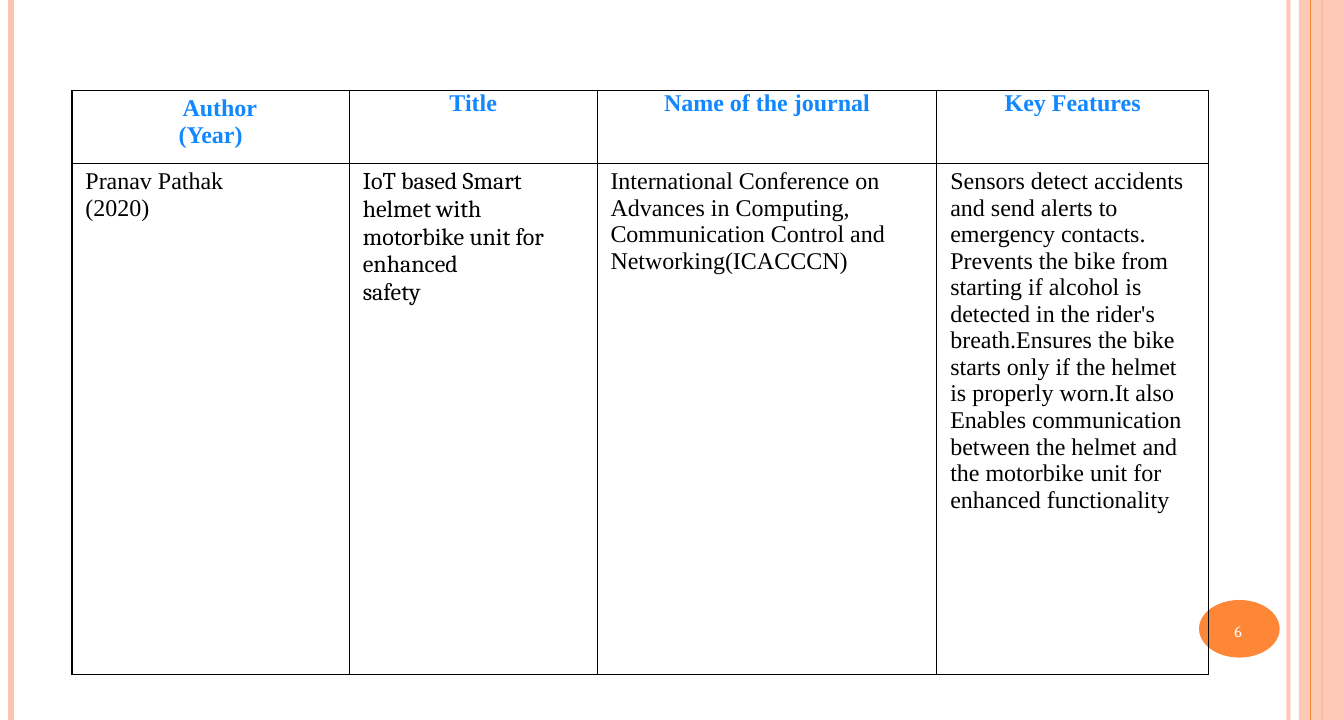
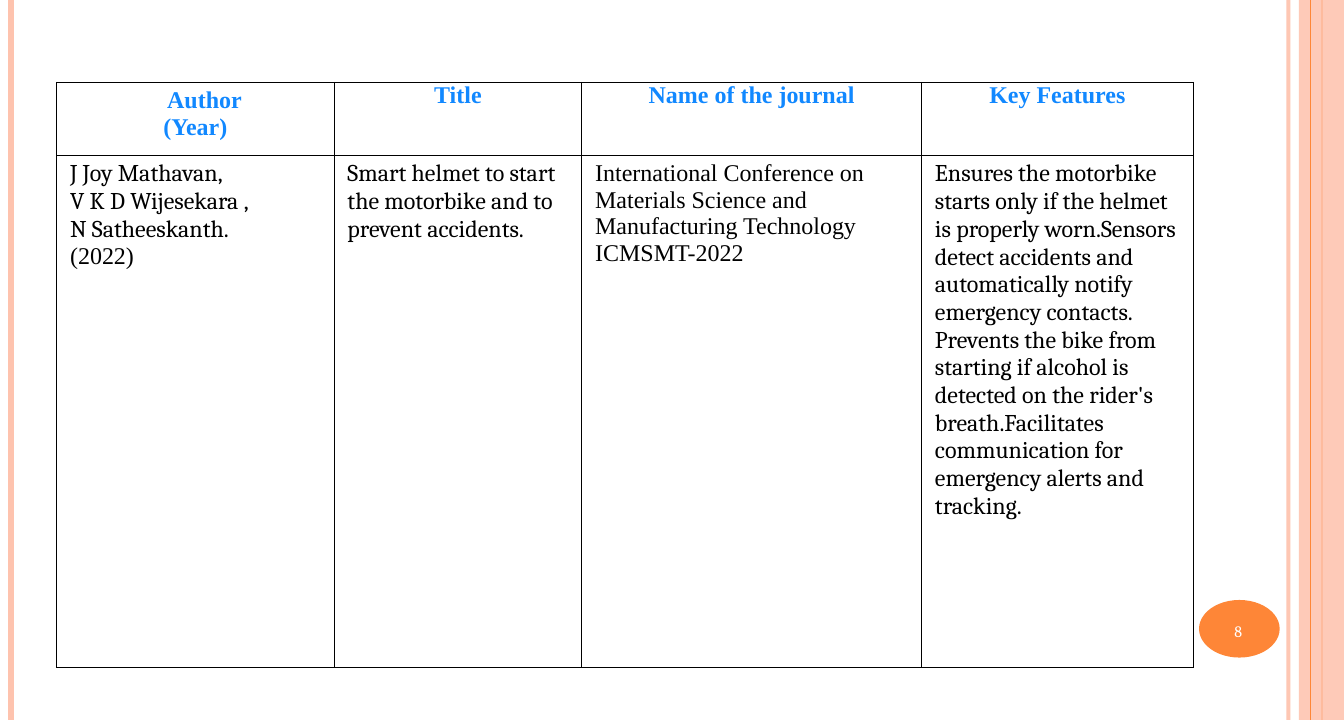
"""Build two literature survey slides with a shared frame and table style."""
from dataclasses import dataclass

from lxml import etree
from pptx import Presentation
from pptx.dml.color import RGBColor
from pptx.enum.shapes import MSO_CONNECTOR, MSO_SHAPE
from pptx.enum.text import PP_ALIGN
from pptx.oxml.ns import qn
from pptx.util import Inches, Pt

LINE = MSO_CONNECTOR.STRAIGHT
RECT, OVAL = MSO_SHAPE.RECTANGLE, MSO_SHAPE.OVAL
LEFT, MID = PP_ALIGN.LEFT, PP_ALIGN.CENTER


@dataclass(frozen=True)
class Theme:
    peach: str = "FEC3AE"
    orange: str = "FE8637"
    blue: str = "1188FF"
    black: str = "000000"
    white: str = "FFFFFF"
    times: str = "Times New Roman"
    serif: str = "Cambria"
    body: int = 18
    small: int = 12
    wide: float = 14
    high: float = 7.5


class Deck:
    def __init__(self, theme):
        self.theme = theme
        self.prs = Presentation()
        self.prs.slide_width = Inches(theme.wide)
        self.prs.slide_height = Inches(theme.high)
        self.slide = None

    def start(self):
        self.slide = self.prs.slides.add_slide(self.prs.slide_layouts[6])
        fill = self.slide.background.fill
        fill.solid()
        fill.fore_color.rgb = RGBColor.from_string(self.theme.white)

    def fade(self, shape, alpha):
        for color in shape._element.spPr.iter(qn("a:srgbClr")):
            etree.SubElement(color, qn("a:alpha"), val=str(alpha * 1000))

    def rule(self, x, color, width, alpha=100):
        line = self.slide.shapes.add_connector(
            LINE, Inches(x), Inches(0), Inches(x), Inches(self.theme.high))
        line.line.color.rgb = RGBColor.from_string(color)
        line.line.width = Pt(width)
        etree.SubElement(line._element.spPr, qn("a:effectLst"))
        if alpha < 100:
            self.fade(line, alpha)

    def shape(self, kind, box, color, alpha=100):
        shape = self.slide.shapes.add_shape(kind, *map(Inches, box))
        shape.shadow.inherit = False
        shape.fill.solid()
        shape.fill.fore_color.rgb = RGBColor.from_string(color)
        shape.line.fill.background()
        if alpha < 100:
            self.fade(shape, alpha)

    def add_text(self, par, text, font, size, color, bold=False):
        run = par.add_run()
        run.text = text
        run.font.name = font
        run.font.size = Pt(size)
        run.font.bold = bold
        run.font.color.rgb = RGBColor.from_string(color)

    def frame(self):
        t = self.theme
        self.rule(13.42, t.peach, 3, 93)
        self.rule(0.12, t.peach, 4.5)
        self.rule(13.77, t.orange, 1.5)
        self.shape(RECT, (13.53, 0, 0.47, t.high), t.peach, 87)
        self.rule(13.65, t.orange, 0.75)
        self.shape(OVAL, (12.49, 6.25, 0.84, 0.6), t.orange)

    def number(self, text):
        box = self.slide.shapes.add_textbox(
            Inches(12.76), Inches(6.43), Inches(0.29), Inches(0.3))
        box.text_frame.word_wrap = False
        self.add_text(box.text_frame.paragraphs[0], text,
                      self.theme.serif, self.theme.small, self.theme.white)

    def edge(self, cell):
        props = cell._tc.get_or_add_tcPr()
        for side in "LRTB":
            line = etree.SubElement(props, qn(f"a:ln{side}"), w=str(Pt(1)))
            fill = etree.SubElement(line, qn("a:solidFill"))
            etree.SubElement(fill, qn("a:srgbClr"), val=self.theme.black)

    def cell(self, cell, lines, pad, align, color, bold=False):
        self.edge(cell)
        cell.fill.background()
        cell.margin_left = cell.margin_right = Inches(pad[0])
        cell.margin_top = cell.margin_bottom = Inches(pad[1])
        frame = cell.text_frame
        for i, (text, font, indent) in enumerate(lines):
            par = frame.add_paragraph() if i else frame.paragraphs[0]
            par.alignment = align
            if indent:
                props = par._p.get_or_add_pPr()
                props.set("marL", "0")
                props.set("indent", str(Inches(indent)))
            self.add_text(par, text, font, self.theme.body, color, bold)

    def table(self, x, y, cols, rows, heads, body):
        t = self.theme
        grid = self.slide.shapes.add_table(
            len(rows), len(cols), Inches(x), Inches(y),
            Inches(sum(cols)), Inches(sum(rows))).table
        grid.first_row = grid.horz_banding = False
        for col, width in zip(grid.columns, cols):
            col.width = Inches(width)
        for row, height in zip(grid.rows, rows):
            row.height = Inches(height)
        for i, (head, lines) in enumerate(zip(heads, body)):
            pad = (0.1, 0) if i else (0.14, 0.05)
            self.cell(grid.cell(0, i), head, pad, MID, t.blue, True)
            self.cell(grid.cell(1, i), lines, (0.14, 0.05), LEFT, t.black)


THEME = Theme()


def times(*lines):
    return [(text, THEME.times, 0) for text in lines]


def serif(*lines):
    return [(text, THEME.serif, 0) for text in lines]


COLS = (2.89, 2.58, 3.54, 2.83)
ROWS = (0.76, 5.33)
HEADS = [
    [("Author", THEME.times, 0.19), ("(Year)", THEME.times, 0)],
    times("Title"),
    times("Name of the journal"),
    times("Key Features"),
]
PAGES = [
    ("6", 0.75, 0.94, [
        times("Pranav Pathak", "(2020)"),
        serif("IoT based Smart helmet with motorbike unit for enhanced",
              "safety"),
        times("International Conference on Advances in Computing, "
              "Communication Control and Networking(ICACCCN)"),
        times("Sensors detect accidents and send alerts to emergency "
              "contacts.",
              "Prevents the bike from starting if alcohol is detected in "
              "the rider's breath.Ensures the bike starts only if the "
              "helmet is properly worn.It also",
              "Enables communication between the helmet and the motorbike "
              "unit for enhanced functionality"),
    ]),
    ("8", 0.59, 0.86, [
        serif("J Joy Mathavan,", "V K D Wijesekara ,", "N Satheeskanth.")
        + times("(2022)"),
        serif("Smart helmet to start the motorbike and to prevent "
              "accidents."),
        times("International Conference on Materials Science and "
              "Manufacturing Technology", "ICMSMT-2022"),
        serif("Ensures the motorbike starts only if the helmet is properly "
              "worn.Sensors detect accidents and automatically notify "
              "emergency contacts. Prevents the bike from starting if "
              "alcohol is detected on the rider's breath.Facilitates "
              "communication for emergency alerts and tracking."),
    ]),
]


def main():
    deck = Deck(THEME)
    for page, x, y, body in PAGES:
        deck.start()
        deck.frame()
        deck.table(x, y, COLS, ROWS, HEADS, body)
        deck.number(page)
    deck.prs.save("out.pptx")


if __name__ == "__main__":
    main()
